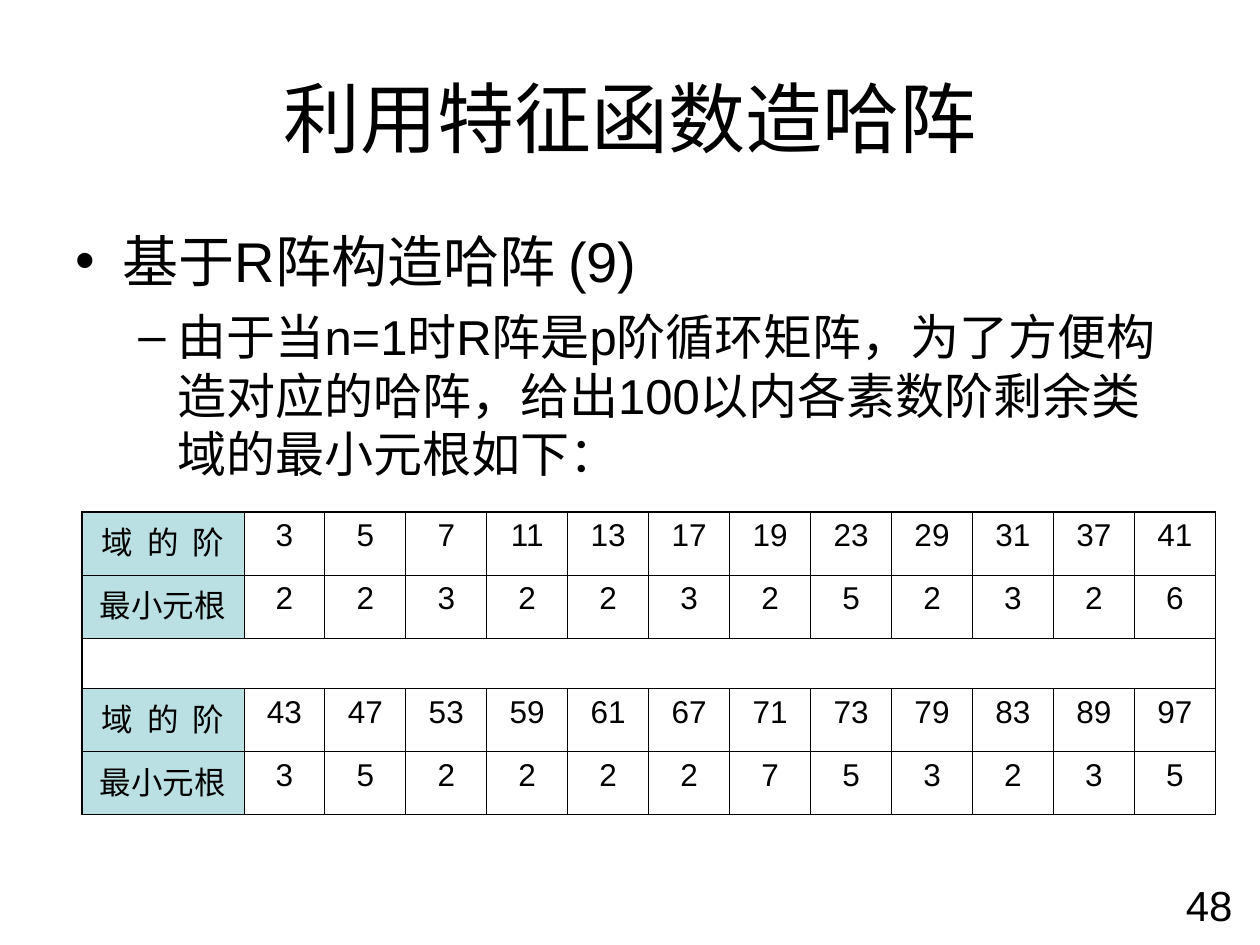
from dataclasses import dataclass

from lxml.etree import SubElement
from pptx import Presentation
from pptx.dml.color import RGBColor
from pptx.enum.text import MSO_ANCHOR, PP_ALIGN
from pptx.oxml.ns import qn
from pptx.util import Pt


@dataclass(frozen=True)
class Theme:
    font: str = "Arial"
    ink: str = "000000"
    label_fill: str = "BBE0E3"
    title: int = 44
    bullet: int = 32
    sub_bullet: int = 28
    number: int = 24
    cell: int = 18
    outer_line: float = 1.08
    inner_line: float = 0.45


THEME = Theme()
LABELS = ("域 的 阶", "最小元根")
ORDERS_AND_ROOTS = [
    ([3, 5, 7, 11, 13, 17, 19, 23, 29, 31, 37, 41],
     [2, 2, 3, 2, 2, 3, 2, 5, 2, 3, 2, 6]),
    ([43, 47, 53, 59, 61, 67, 71, 73, 79, 83, 89, 97],
     [3, 5, 2, 2, 2, 2, 7, 5, 3, 2, 3, 5]),
]


def write(paragraph, text, size, align=PP_ALIGN.LEFT, before=0, indent=None,
          bullet=None, tracking=0):
    """Fill a paragraph; indent is (left margin, first line), tracking is in points."""
    paragraph.alignment = align
    paragraph.space_before = Pt(before)
    run = paragraph.add_run()
    run.text = text
    run.font.size = Pt(size)
    run.font.name = THEME.font
    run.font.color.rgb = RGBColor.from_string(THEME.ink)
    if tracking:
        run.font._element.set("spc", str(round(tracking * 100)))
    if bullet:
        properties = paragraph._p.get_or_add_pPr()
        left, first = indent
        properties.set("marL", str(Pt(left)))
        properties.set("indent", str(Pt(first)))
        SubElement(properties, qn("a:buFont"), typeface=THEME.font)
        SubElement(properties, qn("a:buChar"), char=bullet)


def add_text_frame(slide, box, anchor=MSO_ANCHOR.TOP):
    frame = slide.shapes.add_textbox(*map(Pt, box)).text_frame
    frame.word_wrap = True
    frame.vertical_anchor = anchor
    return frame


def add_title(slide, box):
    frame = add_text_frame(slide, box, MSO_ANCHOR.MIDDLE)
    write(frame.paragraphs[0], "利用特征函数造哈阵", THEME.title, align=PP_ALIGN.CENTER)


def add_body(slide, box):
    frame = add_text_frame(slide, box)
    write(frame.paragraphs[0], "基于R阵构造哈阵 (9)", THEME.bullet,
          before=8, indent=(27, -27), bullet="•")
    detail = frame.add_paragraph()
    detail.level = 1
    write(detail,
          "由于当n=1时R阵是p阶循环矩阵，为了方便构造对应的哈阵，"
          "给出100以内各素数阶剩余类域的最小元根如下：",
          THEME.sub_bullet, before=7, indent=(58.5, -22.5), bullet="–")


def add_slide_number(slide, box):
    frame = add_text_frame(slide, box)
    write(frame.paragraphs[0], "48", THEME.number, align=PP_ALIGN.RIGHT)


def set_borders(cell, outer_sides):
    properties = cell._tc.get_or_add_tcPr()
    for side in "LRTB":
        width = THEME.outer_line if side in outer_sides else THEME.inner_line
        line = SubElement(properties, qn(f"a:ln{side}"), w=str(Pt(width)))
        fill = SubElement(line, qn("a:solidFill"))
        SubElement(fill, qn("a:srgbClr"), val=THEME.ink)


def add_root_table(slide, box):
    """Two pairs of rows, parted by one merged empty row; labels are two units wide."""
    upper, lower = ([[label, *values] for label, values in zip(LABELS, pair)]
                    for pair in ORDERS_AND_ROOTS)
    column_count = len(upper[0])
    rows = [*upper, [""] * column_count, *lower]
    gap_row = len(upper)
    left, top, width, height = box
    table = slide.shapes.add_table(len(rows), column_count, *map(Pt, box)).table
    table.first_row = table.horz_banding = False

    unit = width / (column_count + 1)
    for index, column in enumerate(table.columns):
        column.width = Pt(unit if index else 2 * unit)
    gap_height = 28.8
    for index, row in enumerate(table.rows):
        row.height = Pt(gap_height if index == gap_row
                        else (height - gap_height) / (len(rows) - 1))

    for row_index, row in enumerate(rows):
        for column_index, value in enumerate(row):
            cell = table.cell(row_index, column_index)
            edges = {"L": column_index == 0, "R": column_index == column_count - 1,
                     "T": row_index == 0, "B": row_index == len(rows) - 1}
            if row_index == gap_row:
                edges["L"] = edges["R"] = True
            set_borders(cell, {side for side, outer in edges.items() if outer})
            if column_index == 0 and value:
                cell.fill.solid()
                cell.fill.fore_color.rgb = RGBColor.from_string(THEME.label_fill)
            else:
                cell.fill.background()
            if value:
                write(cell.text_frame.paragraphs[0], str(value), THEME.cell,
                      align=PP_ALIGN.CENTER, before=4.5,
                      tracking=2 if value == LABELS[0] else 0)
    table.cell(gap_row, 0).merge(table.cell(gap_row, column_count - 1))


def main():
    presentation = Presentation()
    presentation.slide_width, presentation.slide_height = Pt(720), Pt(540)
    slide = presentation.slides.add_slide(presentation.slide_layouts[6])
    add_title(slide, (36, 21.6, 648, 90))
    add_body(slide, (36, 126, 648, 356.4))
    add_root_table(slide, (46.8, 292.5, 648, 172.8))
    add_slide_number(slide, (543.6, 499, 167.8, 37.4))
    presentation.save("out.pptx")


if __name__ == "__main__":
    main()
